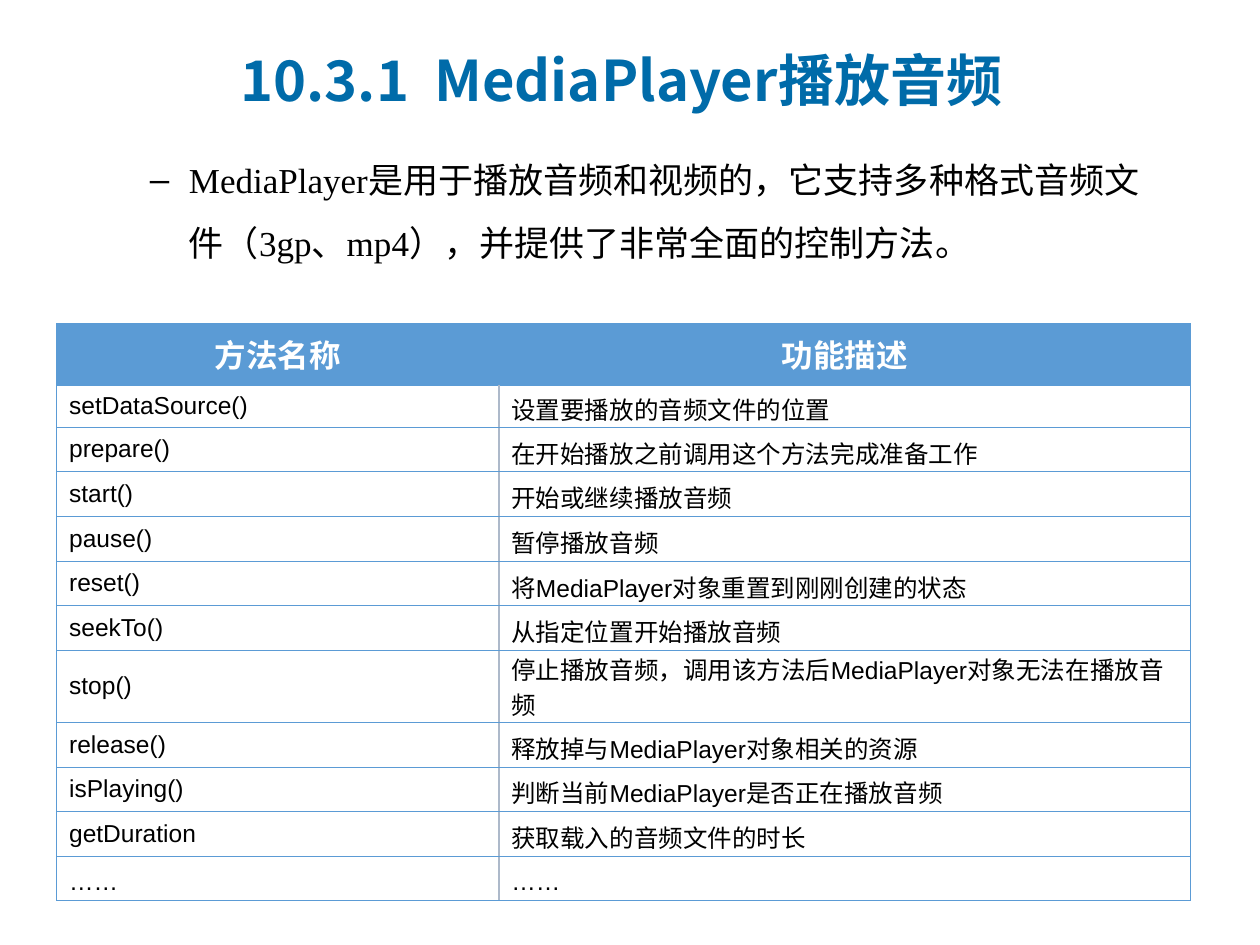
from lxml import etree
from pptx import Presentation
from pptx.dml.color import RGBColor
from pptx.enum.text import MSO_ANCHOR, PP_ALIGN
from pptx.oxml.ns import qn
from pptx.util import Cm, Pt

MIDDLE = MSO_ANCHOR.MIDDLE
CENTER, LEFT = PP_ALIGN.CENTER, PP_ALIGN.LEFT

BLUE, DIVIDER, TITLE_BLUE = "5B9BD5", "ADB9CA", "006BA9"
BLACK, WHITE = "000000", "FFFFFF"

HEADER = ("方法名称", "功能描述")
METHODS = [
    ("setDataSource()", "设置要播放的音频文件的位置"),
    ("prepare()", "在开始播放之前调用这个方法完成准备工作"),
    ("start()", "开始或继续播放音频"),
    ("pause()", "暂停播放音频"),
    ("reset()", "将MediaPlayer对象重置到刚刚创建的状态"),
    ("seekTo()", "从指定位置开始播放音频"),
    ("stop()", "停止播放音频，调用该方法后MediaPlayer对象无法在播放音频"),
    ("release()", "释放掉与MediaPlayer对象相关的资源"),
    ("isPlaying()", "判断当前MediaPlayer是否正在播放音频"),
    ("getDuration", "获取载入的音频文件的时长"),
    ("……", "……"),
]
COLUMN_SHARES = (0.39, 0.61)
HEADER_HEIGHT, FIRST_HEIGHT, ROW_HEIGHT, TALL_HEIGHT = 1.24, 0.85, 0.9, 1.45


def color(value):
    return RGBColor.from_string(value)


def style_runs(paragraph, size, font_name, font_color, bold=False):
    for run in paragraph.runs:
        run.font.size = Pt(size)
        run.font.name = font_name
        run.font.bold = bold
        run.font.color.rgb = color(font_color)


def add_text_box(slide, left, top, width, height):
    shape = slide.shapes.add_textbox(Cm(left), Cm(top), Cm(width), Cm(height))
    shape.text_frame.word_wrap = True
    return shape.text_frame


def add_title(slide, left, top, width, height):
    text_frame = add_text_box(slide, left, top, width, height)
    text_frame.vertical_anchor = MIDDLE
    text_frame.text = "10.3.1  MediaPlayer播放音频"
    style_runs(text_frame.paragraphs[0], 32, "Noto Sans CJK SC", TITLE_BLUE, bold=True)


def add_introduction(slide, left, top, width, height):
    text_frame = add_text_box(slide, left, top, width, height)
    text_frame.text = (
        "MediaPlayer是用于播放音频和视频的，它支持多种格式音频文件"
        "（3gp、mp4），并提供了非常全面的控制方法"
    )
    paragraph = text_frame.paragraphs[0]
    paragraph.add_run().text = "。"
    paragraph.level = 1
    paragraph.line_spacing = 1.5

    # Dash with a hanging indent
    properties = paragraph._p.get_or_add_pPr()
    properties.set("marL", str(Cm(2.06)))
    properties.set("indent", str(-Cm(0.79)))
    etree.SubElement(properties, qn("a:buFont"), typeface="Arial")
    etree.SubElement(properties, qn("a:buChar"), char="–")

    style_runs(paragraph, 20, "Times New Roman", BLACK)
    paragraph.runs[-1].font.name = "Arial"


def set_borders(cell, borders):
    """Draw cell borders from (tag, colour, width in points) entries."""
    properties = cell._tc.get_or_add_tcPr()
    for tag, line_color, width in borders:
        line = etree.SubElement(properties, qn(tag), w=str(Pt(width)))
        fill = etree.SubElement(line, qn("a:solidFill"))
        etree.SubElement(fill, qn("a:srgbClr"), val=line_color)


def fill_cell(cell, text, column, is_header, is_tall):
    divider = (BLUE, 0.5) if is_header else (DIVIDER, 1)
    outer = (BLUE, 0.5)
    set_borders(cell, [
        ("a:lnL", *(divider if column else outer)),
        ("a:lnR", *(outer if column else divider)),
        ("a:lnT", *outer),
        ("a:lnB", *outer),
    ])
    if is_header:
        cell.fill.solid()
        cell.fill.fore_color.rgb = color(BLUE)
    else:
        cell.fill.background()
    # Chinese lines are taller, so their margins shrink to keep the row height
    if not is_header and not text.isascii():
        cell.margin_top = Cm(0 if is_tall else 0.12)
        cell.margin_bottom = Cm(0)
    cell.vertical_anchor = MIDDLE
    cell.text_frame.text = text
    paragraph = cell.text_frame.paragraphs[0]
    paragraph.alignment = CENTER if is_header else LEFT
    style_runs(paragraph, 18 if is_header else 14, "Arial",
               WHITE if is_header else BLACK, bold=is_header)


def add_method_table(slide, left, top, width):
    rows = [HEADER, *METHODS]
    heights = [HEADER_HEIGHT, FIRST_HEIGHT] + [ROW_HEIGHT] * (len(rows) - 2)
    heights[[name for name, _ in rows].index("stop()")] = TALL_HEIGHT
    table = slide.shapes.add_table(
        len(rows), len(HEADER), Cm(left), Cm(top), Cm(width), Cm(sum(heights))
    ).table
    table.horz_banding = False
    for column, share in zip(table.columns, COLUMN_SHARES):
        column.width = Cm(width * share)
    for row_index, (texts, height) in enumerate(zip(rows, heights)):
        table.rows[row_index].height = Cm(height)
        for column_index, text in enumerate(texts):
            fill_cell(table.cell(row_index, column_index), text, column_index,
                      row_index == 0, height == TALL_HEIGHT)


def main():
    presentation = Presentation()
    presentation.slide_width, presentation.slide_height = Cm(25.4), Cm(19.05)
    slide = presentation.slides.add_slide(presentation.slide_layouts[6])
    slide.background.fill.solid()
    slide.background.fill.fore_color.rgb = color(WHITE)
    add_method_table(slide, 1.14, 6.52, 22.86)
    add_introduction(slide, 1.5, 2.64, 22.15, 2.97)
    add_title(slide, 4.6, 0.53, 17.91, 2.13)
    presentation.save("out.pptx")


if __name__ == "__main__":
    main()
